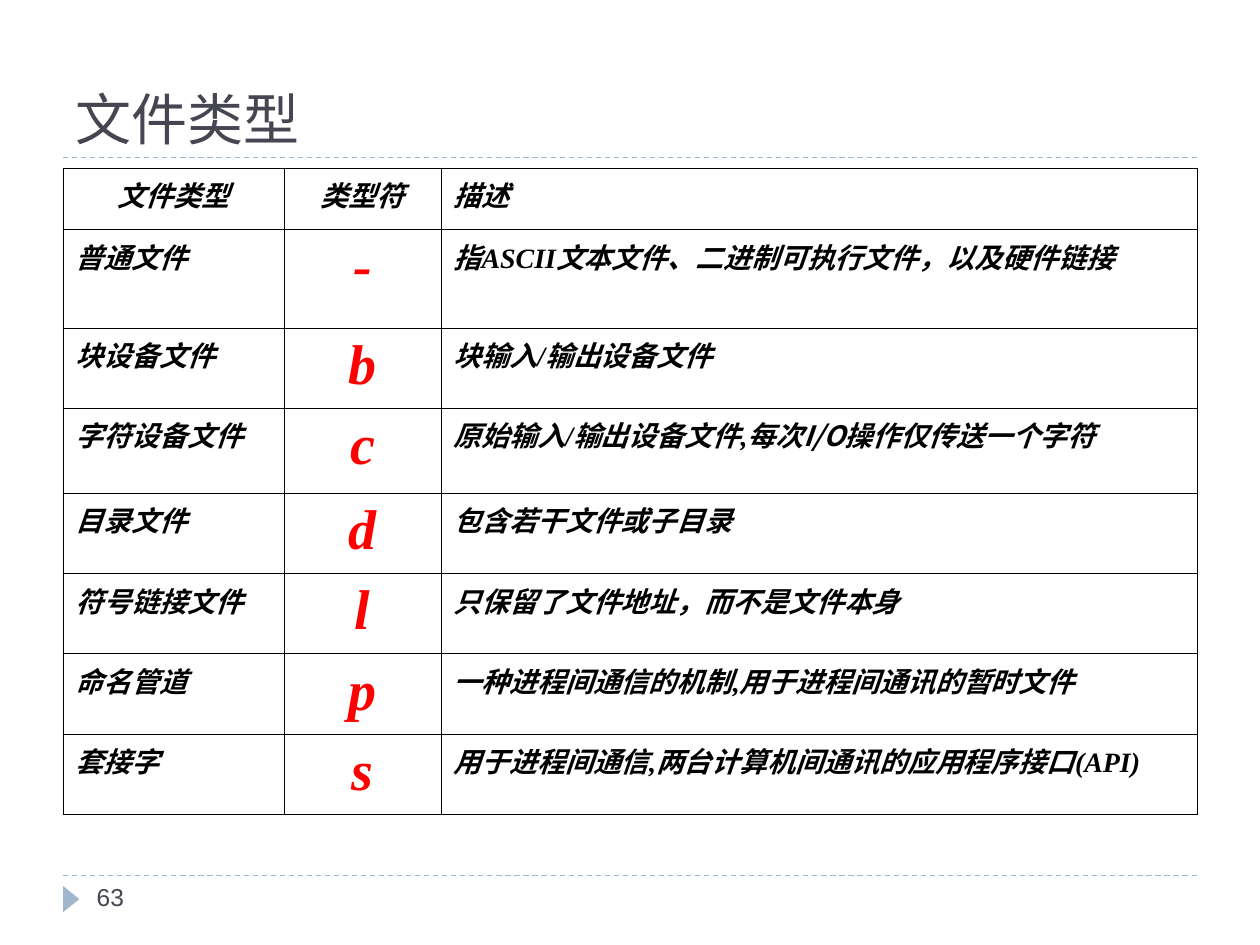
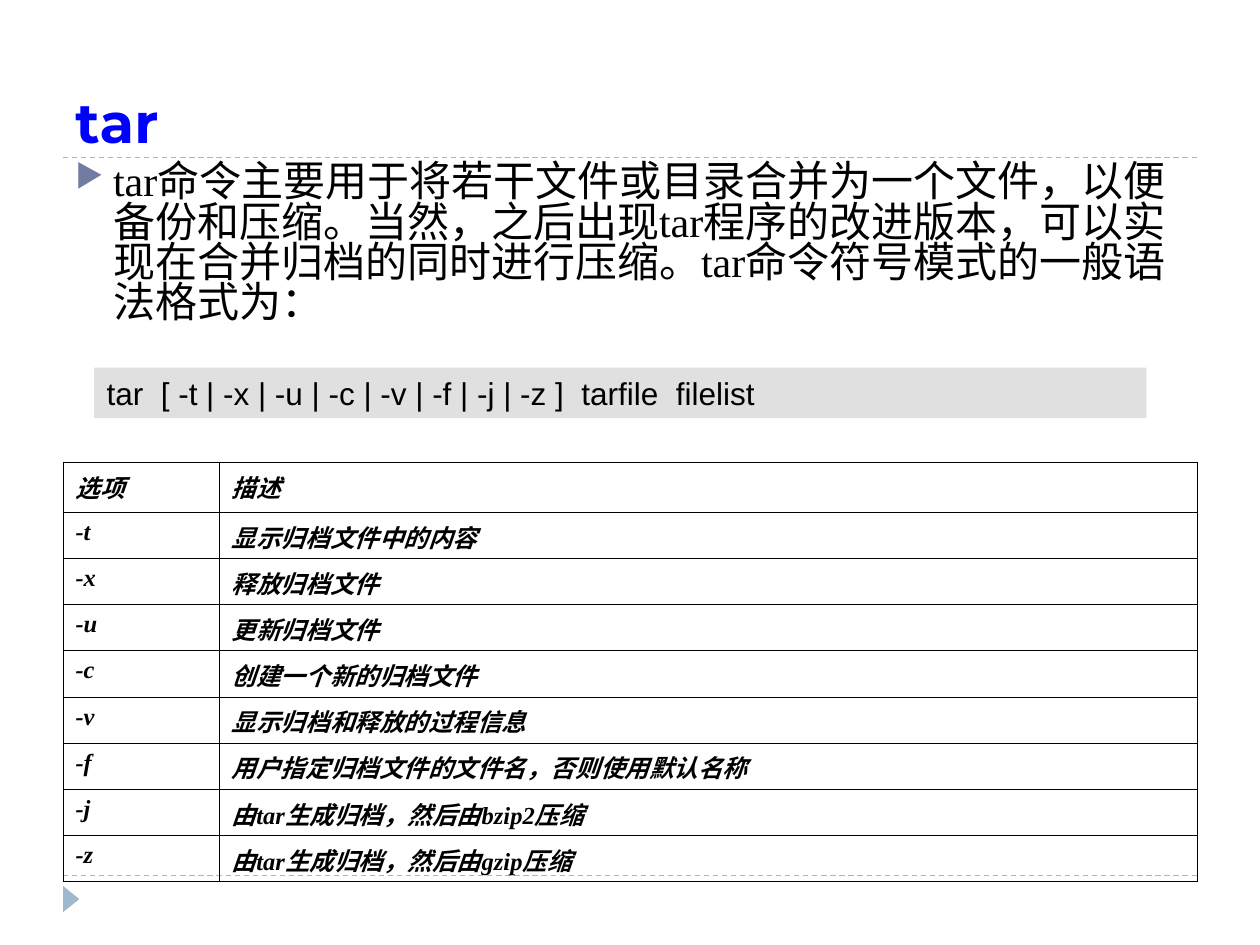
from lxml import etree
from pptx import Presentation
from pptx.dml.color import RGBColor
from pptx.enum.dml import MSO_LINE
from pptx.enum.shapes import MSO_CONNECTOR, MSO_SHAPE
from pptx.enum.text import MSO_ANCHOR, PP_ALIGN
from pptx.oxml import parse_xml
from pptx.oxml.ns import nsdecls, qn
from pptx.util import Cm, Pt

DASH = MSO_LINE.DASH
LINE = MSO_CONNECTOR.STRAIGHT
RECT, WEDGE = MSO_SHAPE.RECTANGLE, MSO_SHAPE.ISOSCELES_TRIANGLE
LOW, MID, TOP = MSO_ANCHOR.BOTTOM, MSO_ANCHOR.MIDDLE, MSO_ANCHOR.TOP
MIDDLE, LEFT = PP_ALIGN.CENTER, PP_ALIGN.LEFT

COLOR = {"rule": "9FB8CD", "title": "464653", "text": "000000", "code": "E0E0E0",
         "mark": "FF0000", "cmd": "0000FF", "bullet": "727CA3"}
SANS, SERIF, HEAD, HAN = "Arial", "Times New Roman", "Montserrat", "Noto Sans CJK SC"
EDGE, WIDE = 1.27, 22.86
RULES = (3.18, 17.65)

TITLE = "文件类型"
PAGE = "63"
TYPES = [
    ("文件类型", "类型符", "描述"),
    ("普通文件", "-", "指ASCII文本文件、二进制可执行文件，以及硬件链接"),
    ("块设备文件", "b", "块输入/输出设备文件"),
    ("字符设备文件", "c", ("原始输入/输出设备文件,", "每次I/O操作仅传送一个字符")),
    ("目录文件", "d", "包含若干文件或子目录"),
    ("符号链接文件", "l", "只保留了文件地址，而不是文件本身"),
    ("命名管道", "p", "一种进程间通信的机制,用于进程间通讯的暂时文件"),
    ("套接字", "s", "用于进程间通信,两台计算机间通讯的应用程序接口(API)"),
]
COMMAND = "tar"
ABOUT = ("tar命令主要用于将若干文件或目录合并为一个文件，以便备份和压缩。"
         "当然，之后出现tar程序的改进版本，可以实现在合并归档的同时进行压缩。"
         "tar命令符号模式的一般语法格式为：")
SYNTAX = "tar  [ -t | -x | -u | -c | -v | -f | -j | -z ]  tarfile  filelist"
FLAGS = [
    ("选项", "描述"),
    ("-t", "显示归档文件中的内容"),
    ("-x", "释放归档文件"),
    ("-u", "更新归档文件"),
    ("-c", "创建一个新的归档文件"),
    ("-v", "显示归档和释放的过程信息"),
    ("-f", "用户指定归档文件的文件名，否则使用默认名称"),
    ("-j", "由tar生成归档，然后由bzip2压缩"),
    ("-z", "由tar生成归档，然后由gzip压缩"),
]


def rgb(name):
    return RGBColor.from_string(COLOR[name])


def style(run, size, font, color="text", bold=False, slant=False):
    face = run.font
    face.size, face.name, face.bold, face.italic = Pt(size), font, bold, slant
    face.color.rgb = rgb(color)
    face.fill.solid()
    face.color.rgb = rgb(color)
    props = run._r.get_or_add_rPr()
    etree.SubElement(props, qn("a:ea")).set("typeface", HAN)


def write(para, text, *look):
    para.text = text
    style(para.runs[0], *look)


def box(slide, at, anchor=TOP):
    frame = slide.shapes.add_textbox(*map(Cm, at)).text_frame
    frame.word_wrap = True
    frame.vertical_anchor = anchor
    return frame


def block(slide, kind, at, color):
    shape = slide.shapes.add_shape(kind, *map(Cm, at))
    shape.shadow.inherit = False
    shape.fill.solid()
    shape.fill.fore_color.rgb = rgb(color)
    shape.line.fill.background()
    return shape


def base(deck):
    slide = deck.slides.add_slide(deck.slide_layouts[6])
    for y in RULES:
        rule = slide.shapes.add_connector(LINE, Cm(EDGE), Cm(y), Cm(EDGE + WIDE), Cm(y))
        rule.line.color.rgb = rgb("rule")
        rule.line.width = Pt(0.75)
        rule.line.dash_style = DASH
        etree.SubElement(rule._element.spPr, qn("a:effectLst"))
    block(slide, WEDGE, (1.17, 17.96, 0.53, 0.33), "rule").rotation = 90
    return slide


def border(cell):
    props = cell._tc.get_or_add_tcPr()
    for spot, side in enumerate("LRTB"):
        props.insert(spot, parse_xml(
            f'<a:ln{side} {nsdecls("a")} w="5715"><a:solidFill>'
            f'<a:srgbClr val="{COLOR["text"]}"/></a:solidFill></a:ln{side}>'))


def grid(slide, data, top, cols, rows, look):
    frame = slide.shapes.add_table(len(rows), len(cols), Cm(EDGE), Cm(top),
                                   Cm(WIDE), Cm(sum(rows)))
    table = frame.table
    table.first_row = table.horz_banding = False
    for col, width in zip(table.columns, cols):
        col.width = Cm(width)
    for r, (row, height) in enumerate(zip(table.rows, rows)):
        row.height = Cm(height)
        for c, text in enumerate(data[r]):
            cell = row.cells[c]
            cell.fill.background()
            border(cell)
            size, color, align = look(r, c)
            para = cell.text_frame.paragraphs[0]
            para.alignment = align
            parts = text if isinstance(text, tuple) else (text,)
            for part, font in zip(parts, (SERIF, HAN)):
                run = para.add_run()
                run.text = part
                style(run, size, font, color, True, True)


def type_look(r, c):
    if r and c == 1:
        return 32, "mark", MIDDLE
    return 16, "text", MIDDLE if r == 0 and c < 2 else LEFT


def flag_look(r, c):
    return 14, "text", LEFT


def bullet(para):
    props = para._p.get_or_add_pPr()
    props.set("marL", str(Cm(0.76)))
    props.set("indent", str(-Cm(0.76)))
    tint = etree.SubElement(props, qn("a:buClr"))
    etree.SubElement(tint, qn("a:srgbClr")).set("val", COLOR["bullet"])
    etree.SubElement(props, qn("a:buSzPct")).set("val", "76000")
    etree.SubElement(props, qn("a:buChar")).set("char", "▶")


def type_slide(deck):
    slide = base(deck)
    page = box(slide, (1.7, 17.65, 5.51, 1.02))
    write(page.paragraphs[0], PAGE, 14, SANS, "title")
    head = box(slide, (EDGE, 0.43, WIDE, 2.75), LOW)
    write(head.paragraphs[0], TITLE, 32, SANS, "title")
    rows = [1.24, 1.98, 1.62, 1.71] + [1.62] * 4
    grid(slide, TYPES, 3.39, (4.46, 3.16, 15.24), rows, type_look)


def tar_slide(deck):
    slide = base(deck)
    body = box(slide, (EDGE, 1.9, WIDE, 5.08))
    head, about = body.paragraphs[0], body.add_paragraph()
    bullet(about)
    write(head, COMMAND, 32, HEAD, "cmd", True)
    write(about, ABOUT, 24, SERIF)
    head.line_spacing = about.line_spacing = 0.8
    about.space_before = Pt(6)
    code = block(slide, RECT, (1.9, 7.41, 21.21, 1.02), "code").text_frame
    code.word_wrap = True
    code.vertical_anchor = MID
    write(code.paragraphs[0], SYNTAX, 18, SANS)
    code.paragraphs[0].alignment = LEFT
    grid(slide, FLAGS, 9.32, (3.15, 19.71), [1.01] + [0.93] * 8, flag_look)


def main():
    deck = Presentation()
    deck.slide_width, deck.slide_height = Cm(25.4), Cm(19.05)
    type_slide(deck)
    tar_slide(deck)
    deck.save("out.pptx")


if __name__ == "__main__":
    main()
